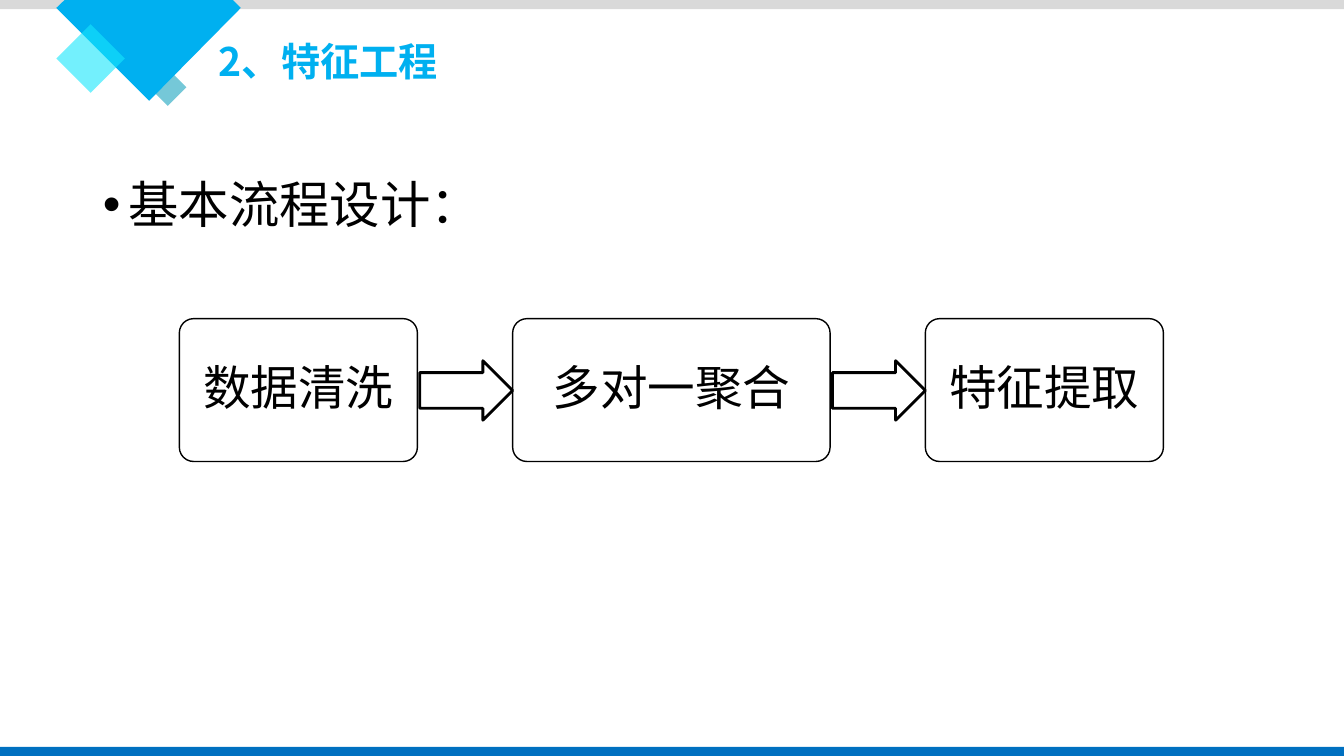
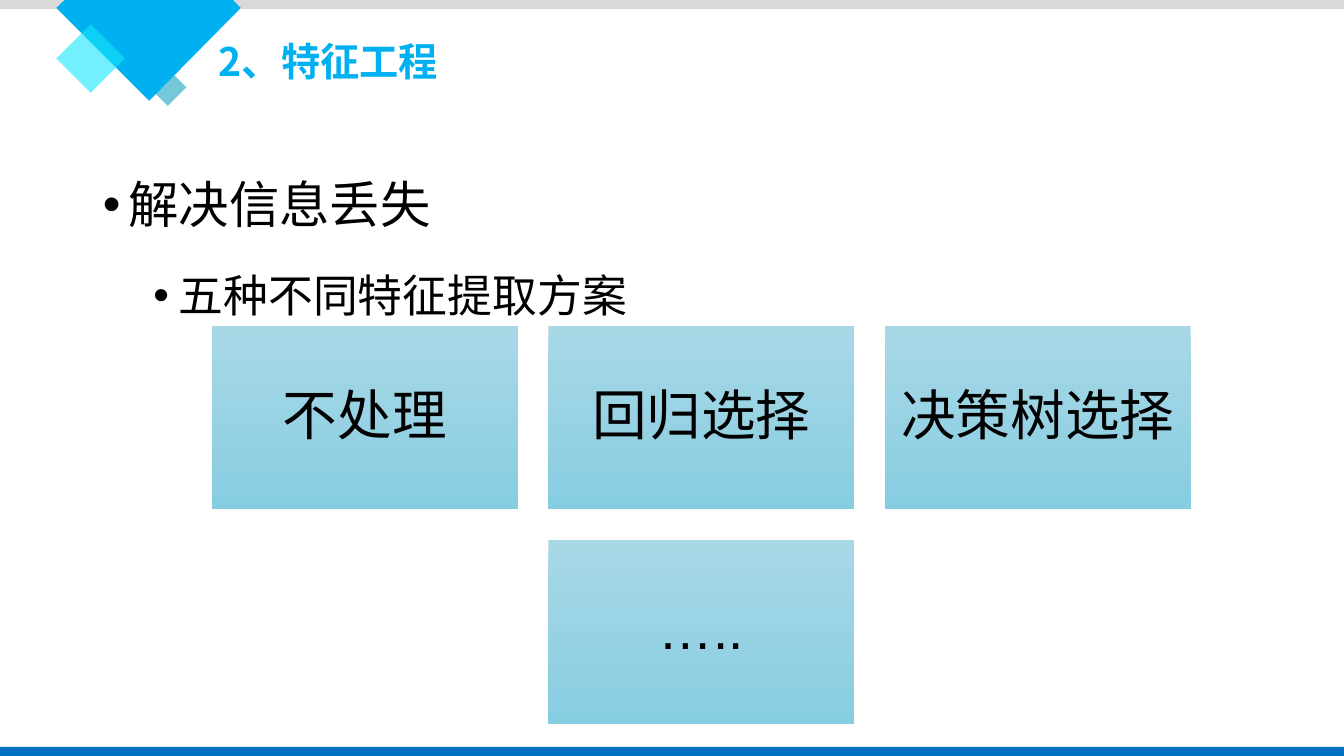
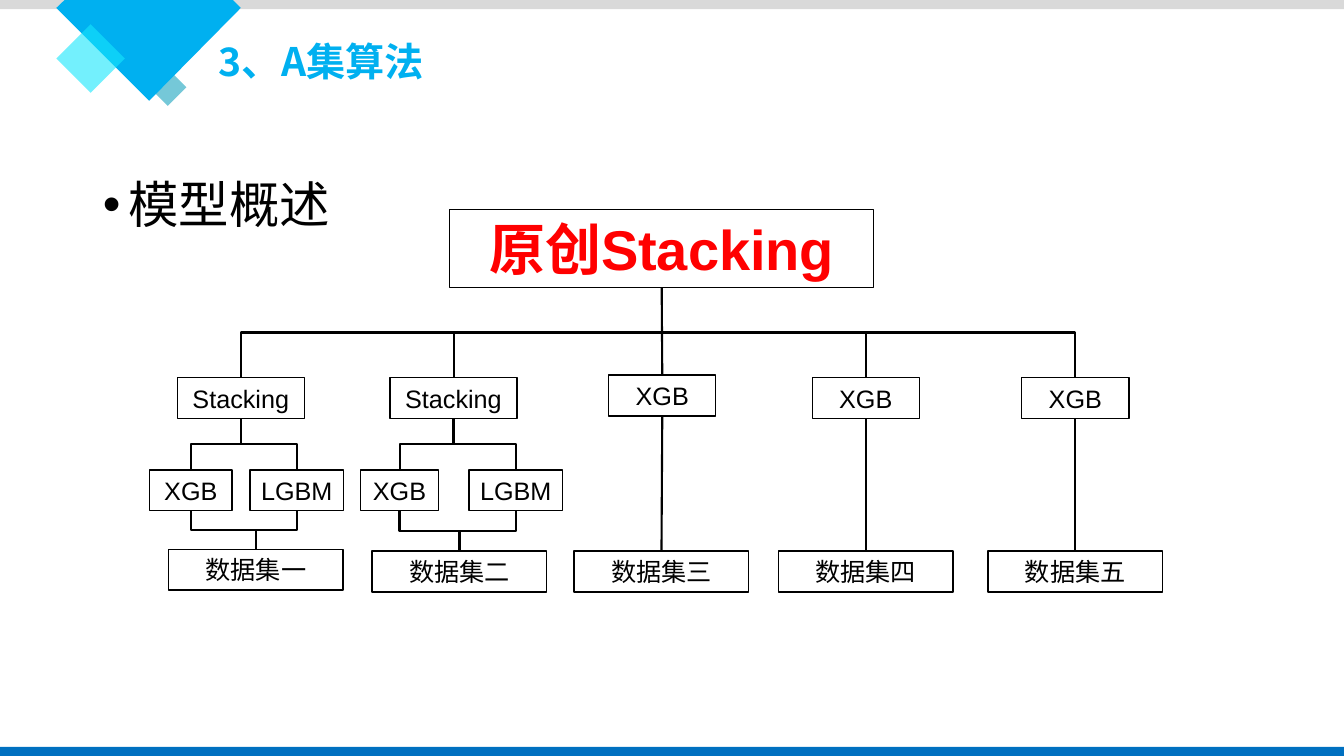
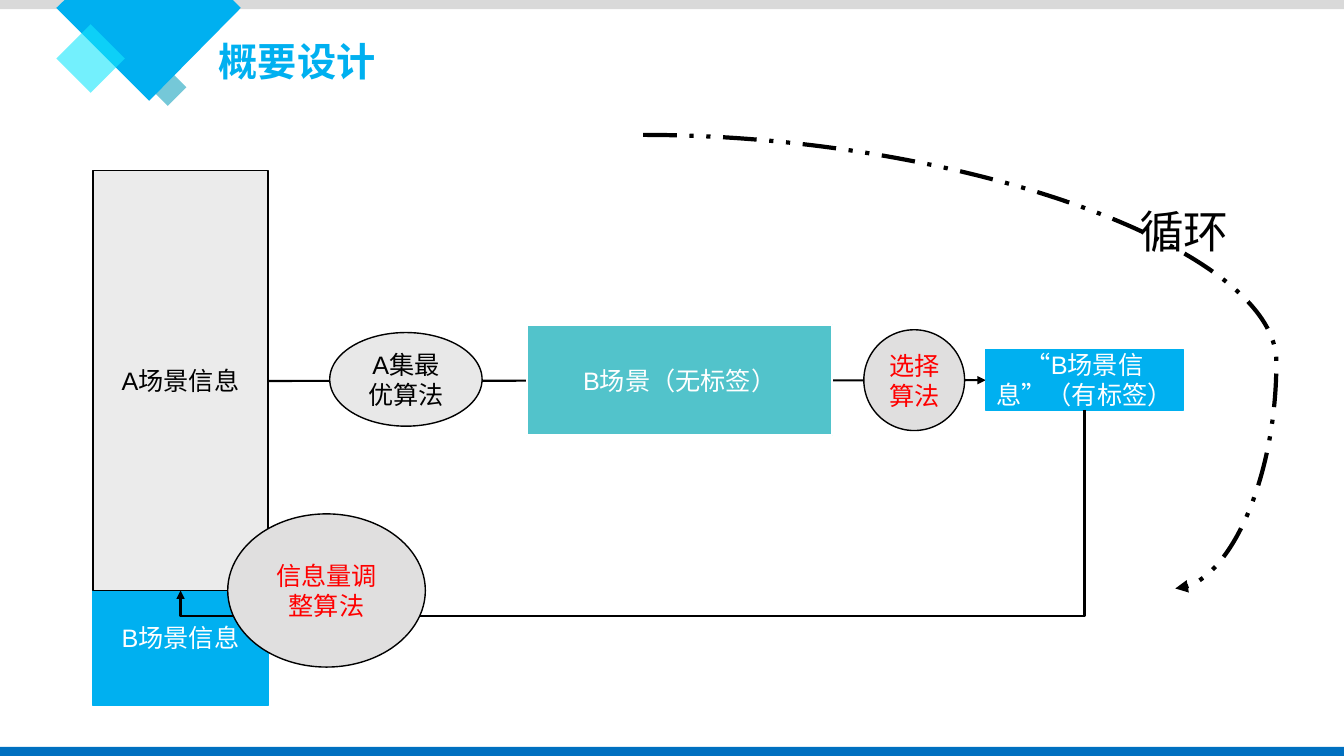
"""Builds four slides on feature engineering and model design."""
from lxml import etree
from pptx import Presentation
from pptx import util as u
from pptx.dml.color import RGBColor
from pptx.enum import dml, lang, shapes, text
from pptx.oxml.ns import qn

Cm, Pt = u.Cm, u.Pt
KIND = shapes.MSO_SHAPE
WIRE = shapes.MSO_CONNECTOR
WIDE, HIGH = 33.87, 19.05
SANS, LATIN = "Noto Sans CJK SC", "Arial"

BLACK = RGBColor(0x00, 0x00, 0x00)
WHITE = RGBColor(0xFF, 0xFF, 0xFF)
RED = RGBColor(0xFF, 0x00, 0x00)
SKY = RGBColor(0x00, 0xB0, 0xF0)
BLUE = RGBColor(0x00, 0x70, 0xC0)
CYAN = RGBColor(0x16, 0xE6, 0xFC)
TEAL = RGBColor(0x1A, 0xA4, 0xBE)
GREY = RGBColor(0xD9, 0xD9, 0xD9)
AQUA = RGBColor(0x52, 0xC3, 0xCB)
PALE = RGBColor(0xEB, 0xEB, 0xEB)
MIST = RGBColor(0xE8, 0xE8, 0xE8)
ASH = RGBColor(0xE0, 0xDF, 0xDF)
LIGHT = RGBColor(0xA8, 0xD8, 0xE6)
DEEP = RGBColor(0x87, 0xCD, 0xE1)


def style(para, size, color=BLACK, font=LATIN, bold=False):
    """Format the runs of a paragraph."""
    for run in para.runs:
        face = run.font
        face.size, face.bold, face.name = Pt(size), bold, font
        face.color.rgb = color
        face.language_id = lang.MSO_LANGUAGE_ID.SIMPLIFIED_CHINESE
        props = run._r.get_or_add_rPr()
        east = etree.Element(qn("a:ea"), typeface=SANS)
        props.find(qn("a:latin")).addnext(east)


def paint(shape, fill=None, line=None, width=1):
    """Set fill and outline, and drop the shadow."""
    shape.shadow.inherit = False
    if fill is None:
        shape.fill.background()
    else:
        shape.fill.solid()
        shape.fill.fore_color.rgb = fill
    if line is None:
        shape.line.fill.background()
    else:
        shape.line.color.rgb = line
        shape.line.width = Pt(width)


def shade(shape, top, base):
    """Fill a shape from top colour to base colour."""
    shape.fill.gradient()
    shape.fill.gradient_angle = 270
    for stop, color in zip(shape.fill.gradient_stops, (top, base)):
        stop.color.rgb = color


def fade(shape, share):
    """Set the opacity of a solid fill in percent."""
    color = shape.element.spPr.find(qn("a:solidFill"))[0]
    etree.SubElement(color, qn("a:alpha"), val=str(share * 1000))


def box(slide, kind, place, fill=None, line=None, width=1):
    """Add a preset shape at left, top, width, height."""
    shape = slide.shapes.add_shape(kind, *map(Cm, place))
    paint(shape, fill, line, width)
    return shape


def label(shape, words, size=18, color=BLACK, font=LATIN, bold=False, gap=1.0):
    """Write centred text in a shape."""
    frame = shape.text_frame
    frame.text = words
    frame.word_wrap = True
    frame.vertical_anchor = text.MSO_ANCHOR.MIDDLE
    para = frame.paragraphs[0]
    para.alignment = text.PP_ALIGN.CENTER
    para.line_spacing = gap
    style(para, size, color, font, bold)


def wire(slide, kind, start, end, width=1.5, arrow=False, dash=None, bend=None):
    """Add a black connector between two points."""
    line = slide.shapes.add_connector(kind, *map(int, (*start, *end)))
    line.line.color.rgb = BLACK
    line.line.width = Pt(width)
    if dash:
        line.line.dash_style = dash
    props = line.element.spPr
    if arrow:
        etree.SubElement(props.find(qn("a:ln")), qn("a:tailEnd"), type="triangle")
    if bend:
        etree.SubElement(props.find(".//" + qn("a:avLst")), qn("a:gd"),
                         name="adj1", fmla=f"val {round(bend * 100000)}")
    etree.SubElement(props, qn("a:effectLst"))
    return line


def elbow(slide, start, end, **looks):
    """Add a connector that runs down, across and down again."""
    (left, top), (right, base) = start, end
    mid, level = (left + right) / 2, (top + base) / 2
    side = 1 if right <= left else -1
    half, rise = side * (base - top) / 2, abs(right - left) / 2
    line = wire(slide, WIRE.ELBOW, (mid - half, level - rise),
                (mid + half, level + rise), **looks)
    turn = 90 if side == 1 else 270
    line.element.spPr.find(qn("a:xfrm")).set("rot", str(turn * 60000))


def foot(shape):
    """Return the middle of the bottom edge."""
    return shape.left + shape.width // 2, shape.top + shape.height


def head(shape):
    """Return the middle of the top edge."""
    return shape.left + shape.width // 2, shape.top


def link(slide, upper, lower):
    """Join two shapes from bottom to top."""
    start, end = foot(upper), head(lower)
    if abs(start[0] - end[0]) < Cm(0.1):
        wire(slide, WIRE.STRAIGHT, start, end)
    else:
        elbow(slide, start, end)


def decor(deck, slide):
    """Set the shared bands, diamonds and frames on the master."""
    small = box(slide, KIND.DIAMOND, (3.76, 1.73, 0.94, 0.94), TEAL)
    band = box(slide, KIND.RECTANGLE, (0, 0, WIDE, 0.23), GREY)
    edge = [(Cm(x), Cm(y)) for x, y in
            ((1.63, 0), (5.87, 0), (6.07, 0.2), (3.76, 2.54), (1.42, 0.2))]
    pen = slide.shapes.build_freeform(*edge[0])
    pen.add_line_segments(edge[1:], close=True)
    gem = pen.convert_to_shape()
    paint(gem, SKY)
    large = box(slide, KIND.DIAMOND, (1.42, 0.61, 1.73, 1.73), CYAN)
    floor = box(slide, KIND.RECTANGLE, (0, 18.82, WIDE, 0.23), BLUE)
    fade(small, 60)
    fade(large, 60)
    master = deck.slide_master
    for spot, shape in enumerate((small, band, gem, large, floor)):
        shape.element.nvSpPr.cNvPr.set("id", str(20 + spot))
        master.shapes.element.insert(2 + spot, shape.element)
    frames = {shapes.PP_PLACEHOLDER.TITLE: (5.26, 0.81, 11.63, 1.45),
              shapes.PP_PLACEHOLDER.BODY: (2.34, 3.48, 29.21, 12.09)}
    for item in master.placeholders:
        place = frames.get(item.placeholder_format.type)
        if place:
            item.left, item.top, item.width, item.height = map(Cm, place)


def title(slide, words):
    """Write the slide title."""
    frame = slide.shapes.title.text_frame
    frame.text = words
    frame.auto_size = text.MSO_AUTO_SIZE.NONE
    para = frame.paragraphs[0]
    para.alignment = text.PP_ALIGN.LEFT
    style(para, 28, SKY, SANS, True)


def points(slide, *lines):
    """Write the bullets, each line one level deeper."""
    frame = slide.placeholders[1].text_frame
    frame.text = "\n".join(lines)
    frame.auto_size = text.MSO_AUTO_SIZE.NONE
    for level, para in enumerate(frame.paragraphs):
        para.level = level
        para.line_spacing = 1.5
        para.space_before = Pt(5 if level else 10)
        style(para, 32 if level else 36, BLACK, SANS)
        props = para._p.get_or_add_pPr()
        props.set("marL", str(Cm(0.64 + 1.27 * level)))
        props.set("indent", str(-Cm(0.64)))
        etree.SubElement(props, qn("a:buFont"), typeface=LATIN)
        etree.SubElement(props, qn("a:buChar"), char="•")


def flow(slide):
    """Draw the three steps and the arrows between them."""
    left, gap = 4.52, 2.4
    steps = (("数据清洗", 6), ("多对一聚合", 8), ("特征提取", 6))
    for spot, (words, width) in enumerate(steps):
        if spot:
            arrow = box(slide, KIND.RIGHT_ARROW, (left - gap + 0.06, 9.09, gap - 0.06, 1.5),
                        None, BLACK, 2)
            arrow.adjustments[0], arrow.adjustments[1] = 0.6, 0.5
        step = box(slide, KIND.ROUNDED_RECTANGLE, (left, 8.03, width, 3.6), None, BLACK)
        step.adjustments[0] = 0.1
        label(step, words, 34, font=SANS, gap=0.9)
        left += width + gap


def tiles(slide):
    """Draw the grid of options."""
    width, height, gap = 7.71, 4.63, 0.77
    cells = (("不处理", 0, 0), ("回归选择", 1, 0), ("决策树选择", 2, 0), ("…..", 1, 1))
    for words, col, row in cells:
        place = (5.34 + col * (width + gap), 8.21 + row * (height + gap), width, height)
        tile = box(slide, KIND.RECTANGLE, place)
        shade(tile, LIGHT, DEEP)
        label(tile, words, 39, gap=0.9)


def node(slide, words, mid, top, width):
    """Add a model box around a middle line."""
    shape = box(slide, KIND.RECTANGLE, (mid - width / 2, top, width, 1.03), None, BLACK)
    label(shape, words)
    shape.text_frame.word_wrap = False
    return shape


def tree(slide):
    """Draw the stacked models over their data sets."""
    root = box(slide, KIND.RECTANGLE, (11.33, 5.28, 10.69, 1.96), None, BLACK)
    label(root, "原创Stacking", 40, RED, bold=True)
    stems = (
        ("Stacking", 6.07, 9.52, 3.2, "数据集一", 6.45, 13.84,
         (("XGB", 4.81, 2.08), ("LGBM", 7.48, 2.36))),
        ("Stacking", 11.43, 9.52, 3.2, "数据集二", 11.58, 13.89,
         (("XGB", 10.07, 1.96), ("LGBM", 13, 2.36))),
        ("XGB", 16.69, 9.45, 2.7, "数据集三", 16.67, 13.89, ()),
        ("XGB", 21.82, 9.52, 2.7, "数据集四", 21.82, 13.89, ()),
        ("XGB", 27.1, 9.52, 2.7, "数据集五", 27.1, 13.89, ()),
    )
    for name, mid, top, width, data, base, low, leaves in stems:
        model = node(slide, name, mid, top, width)
        source = node(slide, data, base, low, 4.4)
        link(slide, root, model)
        for words, spot, wide in leaves:
            leaf = node(slide, words, spot, 11.84, wide)
            link(slide, model, leaf)
            link(slide, leaf, source)
        if not leaves:
            link(slide, model, source)


def cycle(slide):
    """Draw the loop from scene A to scene B and back."""
    rect, oval = KIND.RECTANGLE, KIND.OVAL

    def part(kind, place, words, color, fill=None, line=None, width=1, size=18):
        """Add a shape with its label."""
        shape = box(slide, kind, place, fill, line, width)
        label(shape, words, size, color)
        return shape

    part(rect, (2.34, 14.35, 4.42, 3.43), "B场景信息", WHITE, SKY, SKY)
    part(oval, (27.15, 4.09, 5.38, 3.43), "循环", BLACK, size=32)
    wire(slide, WIRE.STRAIGHT, (Cm(6.73), Cm(9.6)), (Cm(24.84), Cm(9.58)), arrow=True)
    part(rect, (13.28, 8.18, 7.7, 2.79), "B场景（无标签）", WHITE, AQUA, WHITE, 1.5)
    scene = part(rect, (2.34, 4.29, 4.42, 10.59), "A场景信息", BLACK, PALE, BLACK)
    tagged = part(rect, (24.84, 8.81, 4.98, 1.52), "“B场景信息”（有标签）", WHITE, SKY, SKY)
    part(oval, (8.31, 8.38, 3.84, 2.36), "A集最优算法", BLACK, MIST, BLACK)
    elbow(slide, foot(tagged), foot(scene), arrow=True, bend=1.14)
    wire(slide, WIRE.CURVE, (Cm(16.21), Cm(3.4)), (Cm(29.62), Cm(14.83)), 3, True,
         dml.MSO_LINE.DASH_DOT_DOT, 1.19)
    part(oval, (5.74, 12.95, 4.98, 3.86), "信息量调整算法", RED, ASH, BLACK)
    part(oval, (21.77, 8.31, 2.54, 2.54), "选择算法", RED, ASH, BLACK)


def main():
    """Build and save the slides."""
    deck = Presentation()
    deck.slide_width, deck.slide_height = Cm(WIDE), Cm(HIGH)
    pages = (
        ("2、特征工程", ("基本流程设计：",), flow),
        ("2、特征工程", ("解决信息丢失", "五种不同特征提取方案"), tiles),
        ("3、A集算法", ("模型概述",), tree),
        ("概要设计", (), cycle),
    )
    for spot, (words, lines, draw) in enumerate(pages):
        slide = deck.slides.add_slide(deck.slide_layouts[1 if lines else 5])
        if spot == 0:
            decor(deck, slide)
        title(slide, words)
        if lines:
            points(slide, *lines)
        draw(slide)
    deck.save("out.pptx")


if __name__ == "__main__":
    main()
